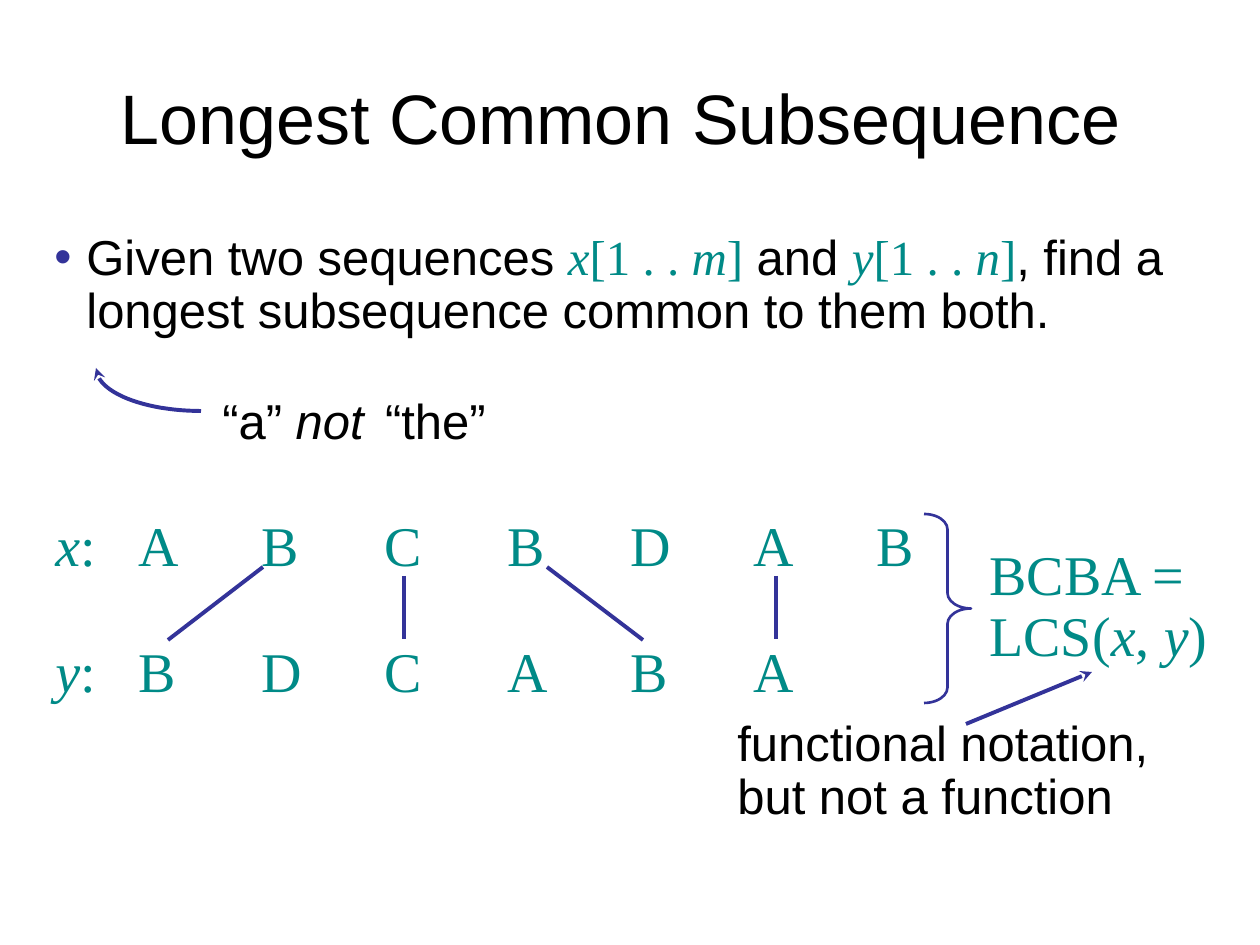
import math
from dataclasses import dataclass

import pptx
import pptx.dml.color
import pptx.enum.shapes
import pptx.enum.text
import pptx.oxml
import pptx.oxml.ns
import pptx.util

EMU_PER_PX = 914400 / 126
BLACK, TEAL, INDIGO = "000000", "008A87", "333399"
SANS, SERIF = "Arial", "Times New Roman"


@dataclass
class Run:
    text: str
    size: int
    font: str = SANS
    color: str = BLACK
    italic: bool = False


@dataclass
class Box:
    left: int
    top: int
    width: int
    height: int


@dataclass
class Line:
    x1: int
    y1: int
    x2: int
    y2: int
    arrow: bool = False


def px(length: float) -> pptx.util.Emu:
    return pptx.util.Emu(round(length * EMU_PER_PX))


def rgb(color: str) -> pptx.dml.color.RGBColor:
    return pptx.dml.color.RGBColor.from_string(color)


def math_run(text: str, size: int, italic: bool = False) -> Run:
    return Run(text, size, SERIF, TEAL, italic)


def place(shape, box: Box) -> None:
    for name in ("left", "top", "width", "height"):
        setattr(shape, name, px(getattr(box, name)))


def write_runs(paragraph, runs: list[Run]) -> None:
    for item in runs:
        run = paragraph.add_run()
        run.text = item.text
        values = {"size": pptx.util.Pt(item.size), "name": item.font,
                  "italic": item.italic, "bold": False}
        for name, value in values.items():
            setattr(run.font, name, value)
        run.font.color.rgb = rgb(item.color)


def add_text(slide, box: Box, runs: list[Run], wrap: bool = False,
             spacing: float = 1.0, bullet: bool = False) -> None:
    shape = slide.shapes.add_textbox(0, 0, 0, 0)
    place(shape, box)
    frame = shape.text_frame
    frame.word_wrap = wrap
    frame.auto_size = pptx.enum.text.MSO_AUTO_SIZE.SHAPE_TO_FIT_TEXT
    paragraph = frame.paragraphs[0]
    if bullet:
        add_bullet(paragraph)
    paragraph.line_spacing = spacing
    write_runs(paragraph, runs)


def add_xml(parent, xml: str) -> None:
    namespace = pptx.oxml.ns.nsdecls("a")
    parent.append(pptx.oxml.parse_xml(xml.replace("/>", f" {namespace}/>", 1)
                                      if xml.endswith("/>") and xml.count("<") == 1
                                      else xml.replace(">", f" {namespace}>", 1)))


def add_bullet(paragraph) -> None:
    properties = paragraph._p.get_or_add_pPr()
    indent = px(32)
    properties.set("marL", str(indent))
    properties.set("indent", str(-indent))
    add_xml(properties, f'<a:buClr><a:srgbClr val="{INDIGO}"/></a:buClr>')
    add_xml(properties, f'<a:buFont typeface="{SANS}"/>')
    add_xml(properties, '<a:buChar char="•"/>')


def style_line(shape, width: float, arrow: bool = False) -> None:
    shape.line.color.rgb = rgb(INDIGO)
    shape.line.width = pptx.util.Pt(width)
    if arrow:
        add_xml(shape.line._get_or_add_ln(), '<a:tailEnd type="stealth"/>')


def add_line(slide, line: Line) -> None:
    connector = slide.shapes.add_connector(
        pptx.enum.shapes.MSO_CONNECTOR.STRAIGHT,
        px(line.x1), px(line.y1), px(line.x2), px(line.y2))
    style_line(connector, 2.25, line.arrow)
    add_xml(connector._element.spPr, "<a:effectLst/>")


def add_curved_arrow(slide, box: Box, steps: int = 24) -> None:
    """Quarter ellipse from the bottom right to the top left of the box."""
    angles = [math.pi / 2 * step / steps for step in range(steps + 1)]
    points = [(px(box.left + box.width * (1 - math.sin(angle))),
               px(box.top + box.height * math.cos(angle))) for angle in angles]
    builder = slide.shapes.build_freeform(*points[0])
    builder.add_line_segments(points[1:], close=False)
    curve = builder.convert_to_shape()
    curve.shadow.inherit = False
    curve.fill.background()
    style_line(curve, 2.25, arrow=True)


def add_brace(slide, box: Box) -> None:
    brace = slide.shapes.add_shape(pptx.enum.shapes.MSO_SHAPE.RIGHT_BRACE, 0, 0, 0, 0)
    place(brace, box)
    brace.adjustments[0] = 0.33
    brace.shadow.inherit = False
    brace.fill.background()
    style_line(brace, 1.5)


def add_sequence(slide, name: str, letters: str, top: int) -> None:
    add_text(slide, Box(43, top, 66, 81), [math_run(name, 32, True), math_run(":", 32)])
    for column, letter in enumerate(letters):
        width = 66 if letter in "AD" else 62
        add_text(slide, Box(126 + 123 * column, top, width, 81), [math_run(letter, 32)])


def main() -> None:
    presentation = pptx.Presentation()
    presentation.slide_width, presentation.slide_height = px(1260), px(945)
    slide = presentation.slides.add_slide(presentation.slide_layouts[5])

    # Title
    title = slide.shapes.title
    place(title, Box(63, 38, 1134, 158))
    frame = title.text_frame
    frame.auto_size = pptx.enum.text.MSO_AUTO_SIZE.NONE
    frame.vertical_anchor = pptx.enum.text.MSO_ANCHOR.MIDDLE
    frame.paragraphs[0].alignment = pptx.enum.text.PP_ALIGN.CENTER
    write_runs(frame.paragraphs[0], [Run("Longest Common Subsequence ", 40)])

    # Problem statement
    add_text(slide, Box(42, 227, 1176, 118), [
        Run("Given two sequences ", 28),
        math_run("x", 28, True), math_run("[1 . . ", 28),
        math_run("m", 28, True), math_run("]", 28),
        Run(" and ", 28),
        math_run("y", 28, True), math_run("[1 . . ", 28),
        math_run("n", 28, True), math_run("]", 28),
        Run(", find a longest subsequence common to them both.", 28),
    ], wrap=True, spacing=0.9, bullet=True)

    # Remark on the article
    add_curved_arrow(slide, Box(96, 368, 105, 43))
    add_text(slide, Box(210, 384, 289, 72), [
        Run("“a”", 28), Run(" not ", 28, italic=True),
        Run(" ", 16, italic=True), Run("“the”", 28)])

    # Sequences and matching letters
    add_sequence(slide, "x", "ABCBDAB", 504)
    add_sequence(slide, "y", "BDCABA", 630)
    for line in (Line(263, 567, 168, 640), Line(547, 567, 643, 640),
                 Line(404, 576, 404, 639), Line(776, 576, 776, 639)):
        add_line(slide, line)

    # Result and its notation
    add_brace(slide, Box(924, 514, 47, 189))
    add_text(slide, Box(977, 541, 252, 134), [
        math_run("BCBA = LCS(", 32), math_run("x", 32, True), math_run(", ", 32),
        math_run("y", 32, True), math_run(")", 32)], wrap=True, spacing=0.9)
    add_text(slide, Box(725, 713, 473, 118),
             [Run("functional notation, but not a function", 28)],
             wrap=True, spacing=0.9)
    add_line(slide, Line(966, 724, 1092, 672, arrow=True))

    presentation.save("out.pptx")


if __name__ == "__main__":
    main()
